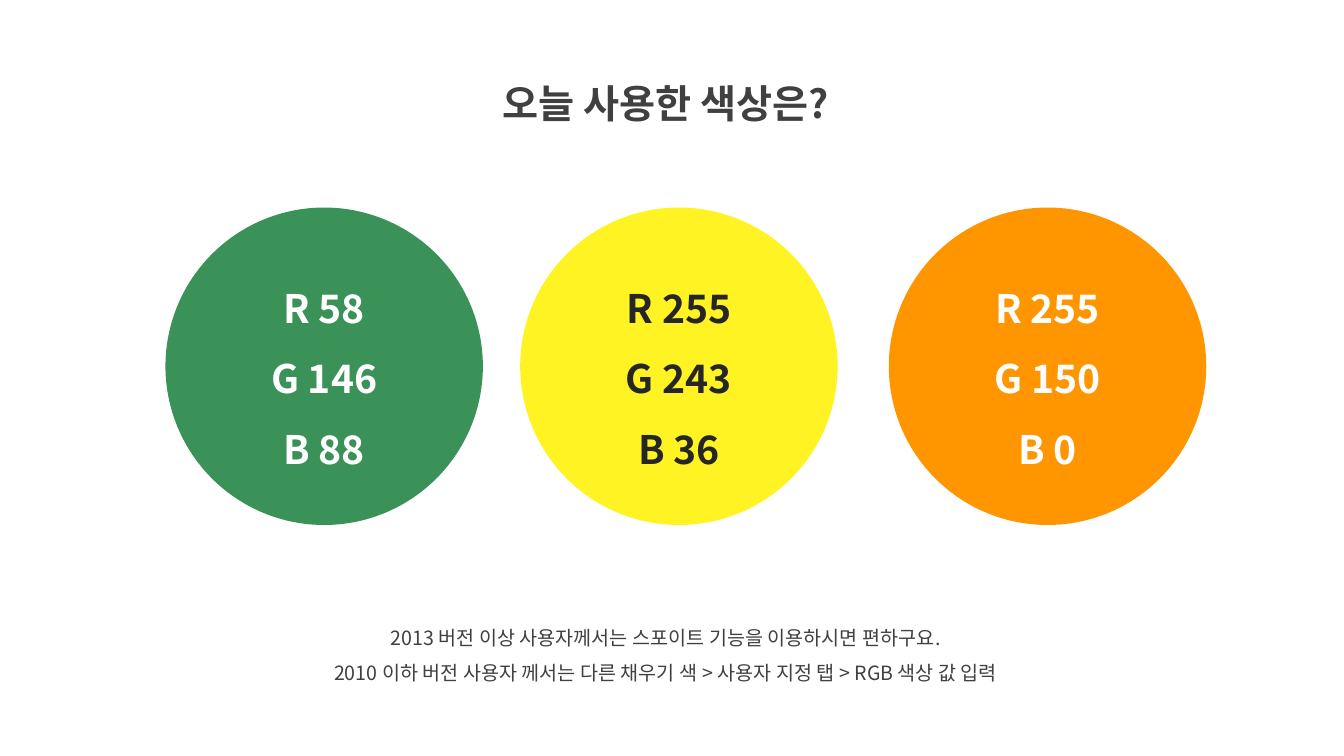
import pptx
import pptx.dml.color
import pptx.enum.shapes
import pptx.enum.text
import pptx.oxml.ns
import pptx.util
from lxml import etree

Cm = pptx.util.Cm
ANCHOR = pptx.enum.text.MSO_ANCHOR
FIT = pptx.enum.text.MSO_AUTO_SIZE.SHAPE_TO_FIT_TEXT


def color(hex_code):
    return pptx.dml.color.RGBColor.from_string(hex_code)


class Palette:
    """Holds the slide and its text style."""
    font = "Noto Sans CJK KR"
    dark = "404040"

    def __init__(self, slide):
        self.s = slide

    def set_text(self, sp, lines, size, hex_code, bold=False, anchor=ANCHOR.TOP):
        tf = sp.text_frame
        tf.word_wrap = True
        tf.vertical_anchor = anchor
        tf.text = "\n".join(lines)
        for p in tf.paragraphs:
            p.alignment = pptx.enum.text.PP_ALIGN.CENTER
            p.line_spacing = 1.5
            p.font.size = pptx.util.Pt(size)
            p.font.bold = bold
            p.font.name = self.font
            p.font.color.rgb = color(hex_code)
            # Hangul takes the East Asian typeface
            props = p._p.pPr.find(pptx.oxml.ns.qn("a:defRPr"))
            etree.SubElement(props, pptx.oxml.ns.qn("a:ea"), typeface=self.font)

    def title(self, text, left, top, width, height):
        sp = self.s.shapes.title
        sp.left, sp.top, sp.width, sp.height = map(Cm, (left, top, width, height))
        self.set_text(sp, [text], 28, self.dark, bold=True)
        sp.text_frame.auto_size = FIT

    def note(self, lines, left, top, width, height):
        sp = self.s.shapes.add_textbox(*map(Cm, (left, top, width, height)))
        self.set_text(sp, lines, 14, self.dark)
        sp.text_frame.auto_size = FIT

    def swatch(self, rgb, left, top, diameter, text_hex):
        """Draw a circle filled with rgb and labelled with its values."""
        sp = self.s.shapes.add_shape(
            pptx.enum.shapes.MSO_SHAPE.OVAL,
            *map(Cm, (left, top, diameter, diameter)))
        sp.shadow.inherit = False
        sp.fill.solid()
        sp.fill.fore_color.rgb = color("%02X%02X%02X" % rgb)
        sp.line.fill.background()
        lines = [f"{channel} {value}" for channel, value in zip("RGB", rgb)]
        self.set_text(sp, lines, 28, text_hex, bold=True, anchor=ANCHOR.MIDDLE)


def main():
    prs = pptx.Presentation()
    prs.slide_width, prs.slide_height = Cm(33.87), Cm(19.05)
    title_only = prs.slide_layouts[5]
    palette = Palette(prs.slides.add_slide(title_only))

    palette.title("오늘 사용한 색상은?", 10.9, 1.27, 11.76, 1.83)
    palette.note(
        ["2013 버전 이상 사용자께서는 스포이트 기능을 이용하시면 편하구요.",
         "2010 이하 버전 사용자 께서는 다른 채우기 색 > 사용자 지정 탭 > RGB 색상 값 입력"],
        6.63, 15.34, 20.29, 2.06)
    for rgb, left, text_hex in [((58, 146, 88), 4.17, "FFFFFF"),
                                ((255, 243, 36), 13.11, "262626"),
                                ((255, 150, 0), 22.4, "FFFFFF")]:
        palette.swatch(rgb, left, 5.23, 8, text_hex)

    prs.save("out.pptx")


if __name__ == "__main__":
    main()
